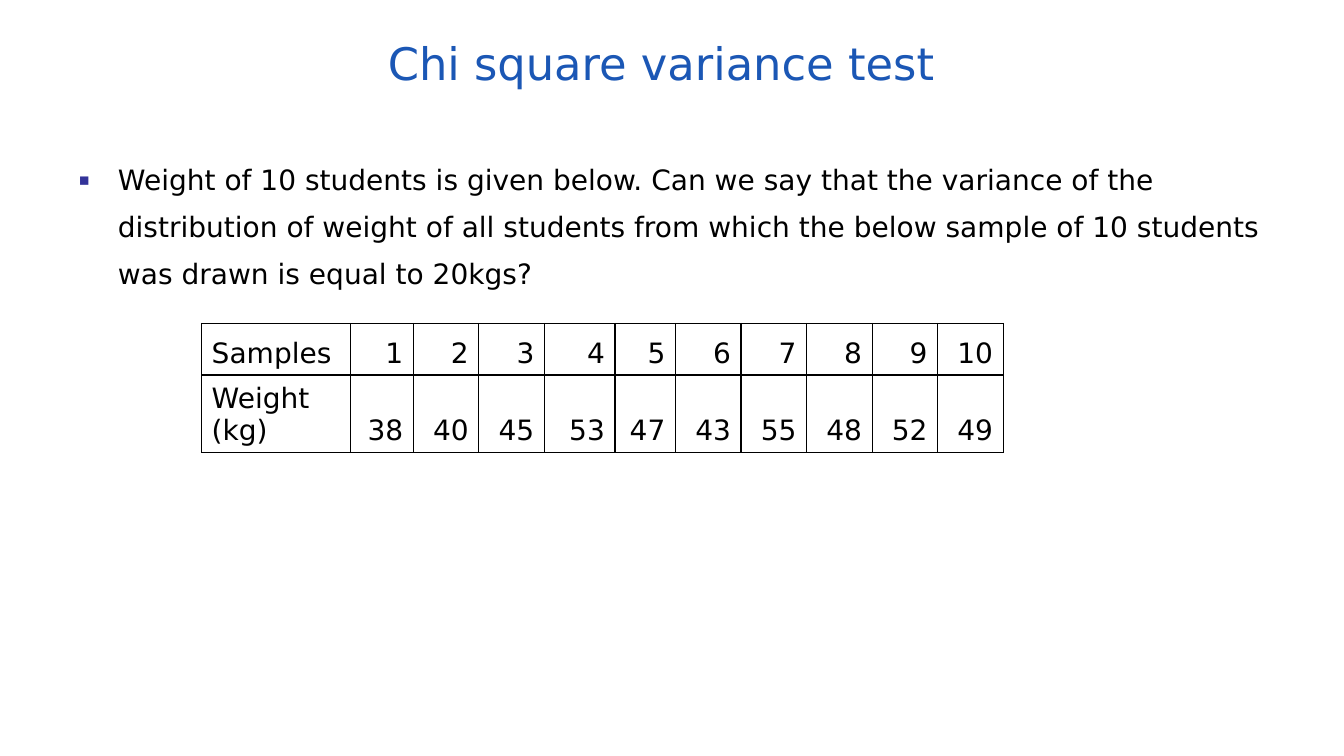
from lxml import etree
from pptx import Presentation
from pptx.dml.color import RGBColor
from pptx.enum.text import MSO_ANCHOR, PP_ALIGN
from pptx.oxml.ns import qn
from pptx.util import Inches, Pt

MIDDLE, BOTTOM = MSO_ANCHOR.MIDDLE, MSO_ANCHOR.BOTTOM
LEFT, CENTER, RIGHT = PP_ALIGN.LEFT, PP_ALIGN.CENTER, PP_ALIGN.RIGHT
TITLE_ONLY = 5
FONT = "DejaVu Sans"
COLORS = {"title": "1B57B5", "text": "000000", "bullet": "333399", "border": "000000"}

TITLE = "Chi square variance test"
QUESTION = (
    "Weight of 10 students is given below. Can we say that the variance of the "
    "distribution of weight of all students from which the below sample of 10 "
    "students was drawn is equal to 20kgs?"
)
ROWS = [
    ["Samples", *range(1, 11)],
    ["Weight (kg)", 38, 40, 45, 53, 47, 43, 55, 48, 52, 49],
]
WIDTHS = [1.48, 0.62, 0.65, 0.65, 0.7, 0.6] + [0.65] * 5
HEIGHTS = [0.51, 0.75]


def write(para, text, size=20, color="text", align=LEFT):
    para.alignment = align
    run = para.add_run()
    run.text = text
    run.font.name = FONT
    run.font.size = Pt(size)
    run.font.color.rgb = RGBColor.from_string(COLORS[color])


def set_frame(frame, anchor):
    frame.word_wrap = True
    frame.vertical_anchor = anchor
    frame.margin_left = frame.margin_right = Inches(0.11)
    frame.margin_top = frame.margin_bottom = Inches(0.06)


def add_title(slide):
    title = slide.shapes.title
    title.left, title.top = Inches(0.56), Inches(0.25)
    title.width, title.height = Inches(12), Inches(0.75)
    set_frame(title.text_frame, MIDDLE)
    write(title.text_frame.paragraphs[0], TITLE, 32, "title", CENTER)


def add_bullet(para):
    props = para._p.get_or_add_pPr()
    props.set("marL", str(Inches(0.39)))
    props.set("indent", str(-Inches(0.39)))
    color = etree.SubElement(props, qn("a:buClr"))
    etree.SubElement(color, qn("a:srgbClr"), val=COLORS["bullet"])
    etree.SubElement(props, qn("a:buSzPct"), val="60000")
    etree.SubElement(props, qn("a:buFont"), typeface=FONT)
    etree.SubElement(props, qn("a:buChar"), char="▪")


def add_question(slide):
    box = slide.shapes.add_textbox(Inches(0.67), Inches(1.42), Inches(12), Inches(5.28))
    set_frame(box.text_frame, MSO_ANCHOR.TOP)
    para = box.text_frame.paragraphs[0]
    add_bullet(para)
    para.line_spacing = 1.4
    write(para, QUESTION)


def add_border(cell):
    """Draw a 1 pt line on all four sides; call before the cell's fill is set."""
    props = cell._tc.get_or_add_tcPr()
    for side in ("lnL", "lnR", "lnT", "lnB"):
        line = etree.SubElement(props, qn(f"a:{side}"), w=str(Pt(1)))
        fill = etree.SubElement(line, qn("a:solidFill"))
        etree.SubElement(fill, qn("a:srgbClr"), val=COLORS["border"])


def add_weights(slide):
    table = slide.shapes.add_table(
        len(ROWS), len(WIDTHS), Inches(2), Inches(3.21),
        Inches(sum(WIDTHS)), Inches(sum(HEIGHTS)),
    ).table
    table.first_row = table.horz_banding = False
    for col, width in zip(table.columns, WIDTHS):
        col.width = Inches(width)
    for row, height, values in zip(table.rows, HEIGHTS, ROWS):
        row.height = Inches(height)
        for i, (cell, value) in enumerate(zip(row.cells, values)):
            add_border(cell)
            cell.fill.background()
            cell.vertical_anchor = BOTTOM
            write(cell.text_frame.paragraphs[0], str(value), align=RIGHT if i else LEFT)


def main():
    deck = Presentation()
    deck.slide_width, deck.slide_height = Inches(13.33), Inches(7.5)
    slide = deck.slides.add_slide(deck.slide_layouts[TITLE_ONLY])
    add_title(slide)
    add_question(slide)
    add_weights(slide)
    deck.save("out.pptx")


if __name__ == "__main__":
    main()
